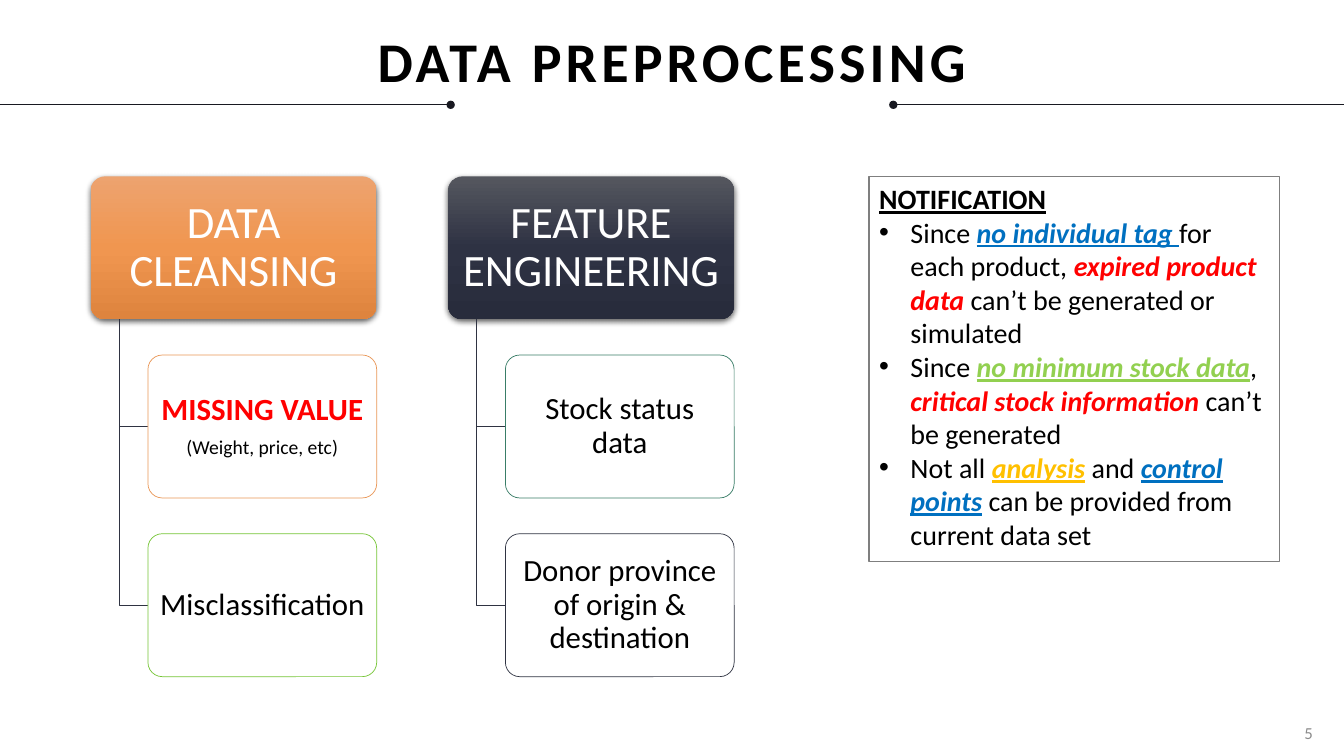
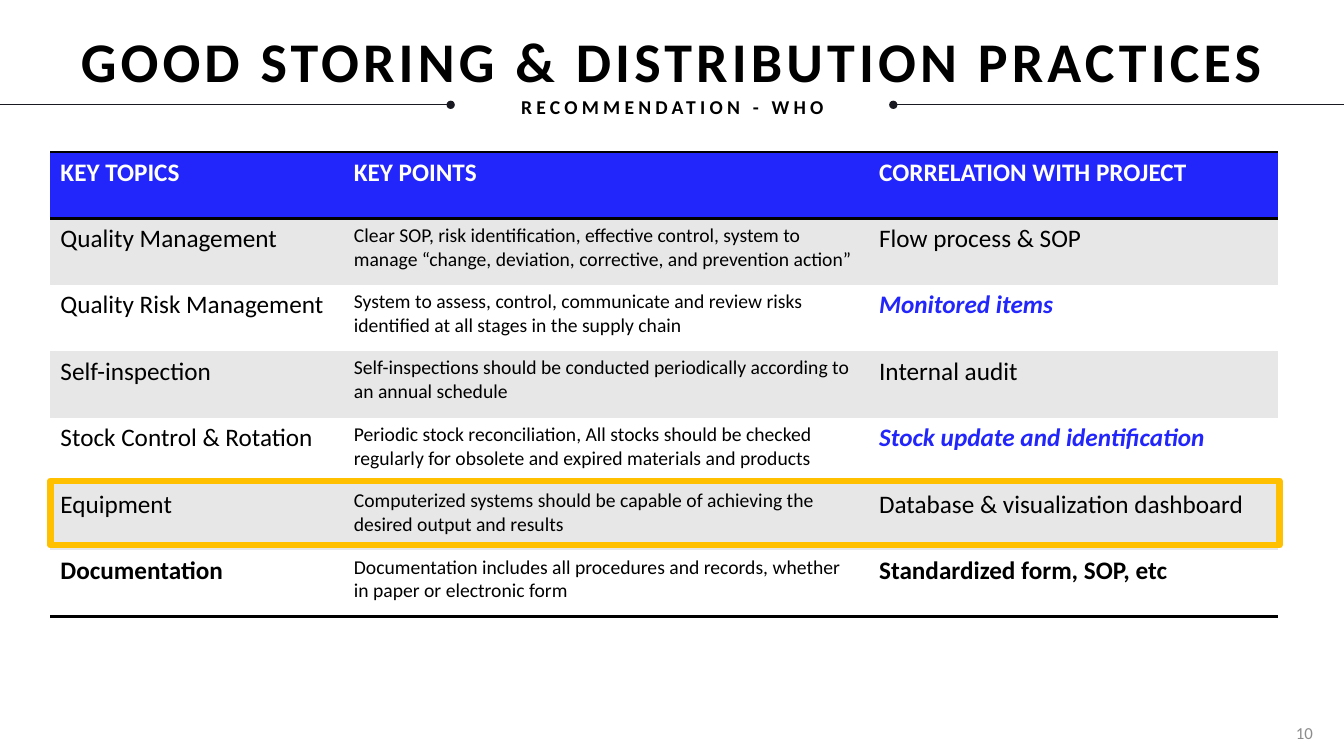
from pptx import Presentation
from pptx.dml.color import RGBColor
from pptx.enum.shapes import MSO_CONNECTOR, MSO_SHAPE
from pptx.enum.text import MSO_ANCHOR, MSO_AUTO_SIZE, PP_ALIGN
from pptx.oxml import parse_xml
from pptx.oxml.ns import nsdecls, qn
from pptx.util import Inches, Pt

BLACK = RGBColor(0x00, 0x00, 0x00)
WHITE = RGBColor(0xFF, 0xFF, 0xFF)
GRAY = RGBColor(0x8C, 0x8C, 0x8C)
BORDER = RGBColor(0x7F, 0x7F, 0x7F)
BAND = RGBColor(0xE7, 0xE7, 0xE7)
RULE = RGBColor(0x18, 0x19, 0x21)
NAVY = RGBColor(0x2F, 0x33, 0x42)
RED = RGBColor(0xFF, 0x00, 0x00)
BLUE = RGBColor(0x00, 0x70, 0xC0)
GREEN = RGBColor(0x92, 0xD0, 0x50)
AMBER = RGBColor(0xFF, 0xC0, 0x00)
ORANGE_EDGE = RGBColor(0xE9, 0x97, 0x57)
GREEN_EDGE = RGBColor(0x76, 0xC5, 0x36)
TEAL_EDGE = RGBColor(0x39, 0x7D, 0x67)
ROYAL = RGBColor(0x22, 0x26, 0xFB)
ORANGE_GRAD = ("EDA36F", "F09650", "DE843E")
NAVY_GRAD = ("55575F", "2E3243", "282C3C")

prs = Presentation()
prs.slide_width, prs.slide_height = W, H = Inches(13.33), Inches(7.5)


def write(p, text, size=18, color=BLACK, bold=False, italic=False,
          underline=False, spacing=None, align=None):
    r = p.add_run()
    r.text = text
    r.font.name, r.font.size = "Calibri", Pt(size)
    r.font.color.rgb = color
    r.font.bold, r.font.italic, r.font.underline = bold, italic, underline
    if spacing:
        r._r.get_or_add_rPr().set("spc", str(spacing * 100))
    if align is not None:
        p.alignment = align


def add_slide(layout, title, number):
    """Slide with the shared title, split rule and page number."""
    s = prs.slides.add_slide(prs.slide_layouts[layout])
    t = s.shapes.title
    t.left, t.top, t.width, t.height = Inches(0.65), Inches(0.26), Inches(12.03), Inches(0.68)
    t.text_frame.auto_size = MSO_AUTO_SIZE.NONE
    t.text_frame.vertical_anchor = MSO_ANCHOR.MIDDLE
    write(t.text_frame.paragraphs[0], title, size=40, bold=True, spacing=3,
          align=PP_ALIGN.CENTER)

    # Rules run inwards from both edges and end in a dot
    y = Inches(1.04)
    for edge, dot in ((0, Inches(4.47)), (W, W - Inches(4.47))):
        c = s.shapes.add_connector(MSO_CONNECTOR.STRAIGHT, edge, y, dot, y)
        c.line.color.rgb, c.line.width = RULE, Pt(0.5)
        c.line._get_or_add_ln().append(parse_xml(f'<a:tailEnd {nsdecls("a")} type="oval"/>'))
        c._element.spPr.append(parse_xml(f'<a:effectLst {nsdecls("a")}/>'))

    tf = s.shapes.add_textbox(Inches(12.63), Inches(7.07), Inches(0.49), Inches(0.4)).text_frame
    tf.word_wrap, tf.vertical_anchor = True, MSO_ANCHOR.MIDDLE
    write(tf.paragraphs[0], number, size=12, color=GRAY, align=PP_ALIGN.RIGHT)
    return s


# Slide 1: two hierarchies and a notification list
s = add_slide(1, "DATA PREPROCESSING", "5")

U = W // 47  # hierarchy grid unit
LEFT, TOP = Inches(0.9), Inches(1.75)
NODE_H, ROW_STEP, COL_STEP = 5 * U, int(6.25 * U), int(12.5 * U)

# Each node: lines of (text, format), then its edge colour or gradient
hierarchies = [
    [([("DATA CLEANSING", dict(size=32, color=WHITE))], ORANGE_GRAD),
     ([("MISSING VALUE", dict(size=22, color=RED, bold=True)),
       ("(Weight, price, etc)", dict(size=14))], ORANGE_EDGE),
     ([("Misclassification", dict(size=22))], GREEN_EDGE)],
    [([("FEATURE ENGINEERING", dict(size=32, color=WHITE))], NAVY_GRAD),
     ([("Stock status data", dict(size=22))], TEAL_EDGE),
     ([("Donor province of origin & destination", dict(size=22))], NAVY)],
]
for col, nodes in enumerate(hierarchies):
    x = LEFT + col * COL_STEP
    for row, (lines, paint) in enumerate(nodes):
        y = TOP + row * ROW_STEP
        indent = 2 * U if row else 0
        if row:
            mid = y + NODE_H // 2
            fb = s.shapes.build_freeform(x + U, TOP + NODE_H, scale=1.0)
            fb.add_line_segments([(x + U, mid), (x + indent, mid)], close=False)
            stem = fb.convert_to_shape()
            stem.fill.background()
            stem.line.color.rgb, stem.line.width = NAVY, Pt(1)
            stem.shadow.inherit = False

        node = s.shapes.add_shape(MSO_SHAPE.ROUNDED_RECTANGLE, x + indent, y,
                                  10 * U - indent, NODE_H)
        node.adjustments[0] = 0.1
        node.shadow.inherit = False
        if row:
            node.fill.solid()
            node.fill.fore_color.rgb = WHITE
            node.line.color.rgb, node.line.width = paint, Pt(0.5)
        else:
            # Three-stop gradient and soft drop shadow
            node.line.fill.background()
            spPr = node._element.spPr
            stops = "".join(f'<a:gs pos="{i * 50000}"><a:srgbClr val="{c}"/></a:gs>'
                            for i, c in enumerate(paint))
            spPr.insert(2, parse_xml(
                f'<a:gradFill {nsdecls("a")} rotWithShape="1"><a:gsLst>{stops}</a:gsLst>'
                '<a:lin ang="5400000" scaled="0"/></a:gradFill>'))
            spPr.find(qn("a:effectLst")).append(parse_xml(
                f'<a:outerShdw {nsdecls("a")} blurRad="57150" dist="19050" dir="5400000" '
                'algn="ctr" rotWithShape="0"><a:srgbClr val="000000">'
                '<a:alpha val="63000"/></a:srgbClr></a:outerShdw>'))

        tf = node.text_frame
        tf.word_wrap, tf.vertical_anchor = True, MSO_ANCHOR.MIDDLE
        tf.margin_left = tf.margin_right = Inches(0.05 if row else 0.07)
        tf.margin_top = tf.margin_bottom = Inches(0.03)
        for i, (text, fmt) in enumerate(lines):
            p = tf.add_paragraph() if i else tf.paragraphs[0]
            p.line_spacing = 0.9
            if i:
                p.space_before = Pt(7.7)
            write(p, text, align=PP_ALIGN.CENTER, **fmt)

# Notification list
body = s.placeholders[1]
body.left, body.top, body.width, body.height = Inches(8.62), TOP, Inches(4.07), Inches(3.82)
body.fill.solid()
body.fill.fore_color.rgb = WHITE
body.line.color.rgb, body.line.width = BORDER, Pt(1)
tf = body.text_frame
tf.auto_size, tf.vertical_anchor = MSO_AUTO_SIZE.NONE, MSO_ANCHOR.TOP

strong = dict(bold=True, italic=True)
key = dict(strong, underline=True)
notes = [
    [("NOTIFICATION", dict(bold=True, underline=True))],
    [("Since ", {}), ("no individual tag ", dict(key, color=BLUE)),
     ("for each product, ", {}), ("expired product data", dict(strong, color=RED)),
     (" can’t be generated or simulated", {})],
    [("Since ", {}), ("no minimum stock data", dict(key, color=GREEN)), (", ", {}),
     ("critical stock information", dict(strong, color=RED)),
     (" can’t be generated", {})],
    [("Not all ", {}), ("analysis", dict(key, color=AMBER)), (" and ", {}),
     ("control points", dict(key, color=BLUE)),
     (" can be provided from current data set", {})],
]
for i, runs in enumerate(notes):
    p = tf.add_paragraph() if i else tf.paragraphs[0]
    hang = Inches(0.31) if i else 0
    pPr = p._p.get_or_add_pPr()
    pPr.set("marL", str(hang))
    pPr.set("indent", str(-hang))
    bullet = '<a:buChar {} char="•"/>' if i else '<a:buNone {}/>'
    pPr.append(parse_xml(bullet.format(nsdecls("a"))))
    p.space_before = Pt(0)
    for text, fmt in runs:
        write(p, text, size=20, **fmt)

# Slide 2: recommendation table
s = add_slide(5, "GOOD STORING & DISTRIBUTION PRACTICES", "10")

tf = s.shapes.add_textbox(Inches(4.47), Inches(0.72), Inches(4.4), Inches(0.68)).text_frame
tf.word_wrap, tf.vertical_anchor = True, MSO_ANCHOR.MIDDLE
write(tf.paragraphs[0], "RECOMMENDATION - WHO", size=14, bold=True, spacing=3,
      align=PP_ALIGN.CENTER)

rows = [
    ("KEY TOPICS", "KEY POINTS", "CORRELATION WITH PROJECT"),
    ("Quality Management",
     "Clear SOP, risk identification, effective control, system to manage "
     "“change, deviation, corrective, and prevention action”",
     "Flow process & SOP"),
    ("Quality Risk Management",
     "System to assess, control, communicate and review risks identified at all "
     "stages in the supply chain",
     "Monitored items"),
    ("Self-inspection",
     "Self-inspections should be conducted periodically according to an annual schedule",
     "Internal audit"),
    ("Stock Control & Rotation",
     "Periodic stock reconciliation, All stocks should be checked regularly for "
     "obsolete and expired materials and products",
     "Stock update and identification"),
    ("Equipment",
     "Computerized systems should be capable of achieving the desired output and results",
     "Database & visualization dashboard"),
    ("Documentation",
     "Documentation includes all procedures and records, whether in paper or electronic form",
     "Standardized form, SOP, etc"),
]
LAST = len(rows) - 1
TABLE_X, TABLE_W = Inches(0.5), Inches(12.19)
table = s.shapes.add_table(len(rows), 3, TABLE_X, Inches(1.51), TABLE_W, Inches(4.61)).table
table.horz_banding = False
# "No Style, No Grid"
table._tbl.tblPr.find(qn("a:tableStyleId")).text = "{2D5ABB26-0587-4C30-8999-92F81FD0307C}"
for column, width in zip(table.columns, (2.91, 5.21, 4.06)):
    column.width = Inches(width)

for i, texts in enumerate(rows):
    for j, text in enumerate(texts):
        cell = table.cell(i, j)
        cell.fill.solid()
        cell.fill.fore_color.rgb = ROYAL if i == 0 else BAND if i % 2 else WHITE
        if i == 0:
            fmt = dict(color=WHITE, bold=True)
        elif j == 1:
            fmt = dict(size=14)
        elif j == 2 and i in (2, 4):
            fmt = dict(strong, color=ROYAL)
        else:
            fmt = dict(bold=i == LAST)
        write(cell.text_frame.paragraphs[0], text, **fmt)

        # Rules above and below the header and under the last row
        sides = {0: ("lnT", "lnB"), LAST: ("lnB",)}.get(i, ())
        for k, side in enumerate(sides):
            cell._tc.get_or_add_tcPr().insert(k, parse_xml(
                f'<a:{side} {nsdecls("a")} w="{Pt(2)}"><a:solidFill>'
                f'<a:srgbClr val="{BLACK}"/></a:solidFill></a:{side}>'))

# Highlight around the Equipment row
frame = s.shapes.add_shape(MSO_SHAPE.RECTANGLE, TABLE_X, Inches(4.77), TABLE_W, Inches(0.64))
frame.shadow.inherit = False
frame.fill.background()
frame.line.color.rgb, frame.line.width = AMBER, Pt(4.5)

prs.save("out.pptx")
